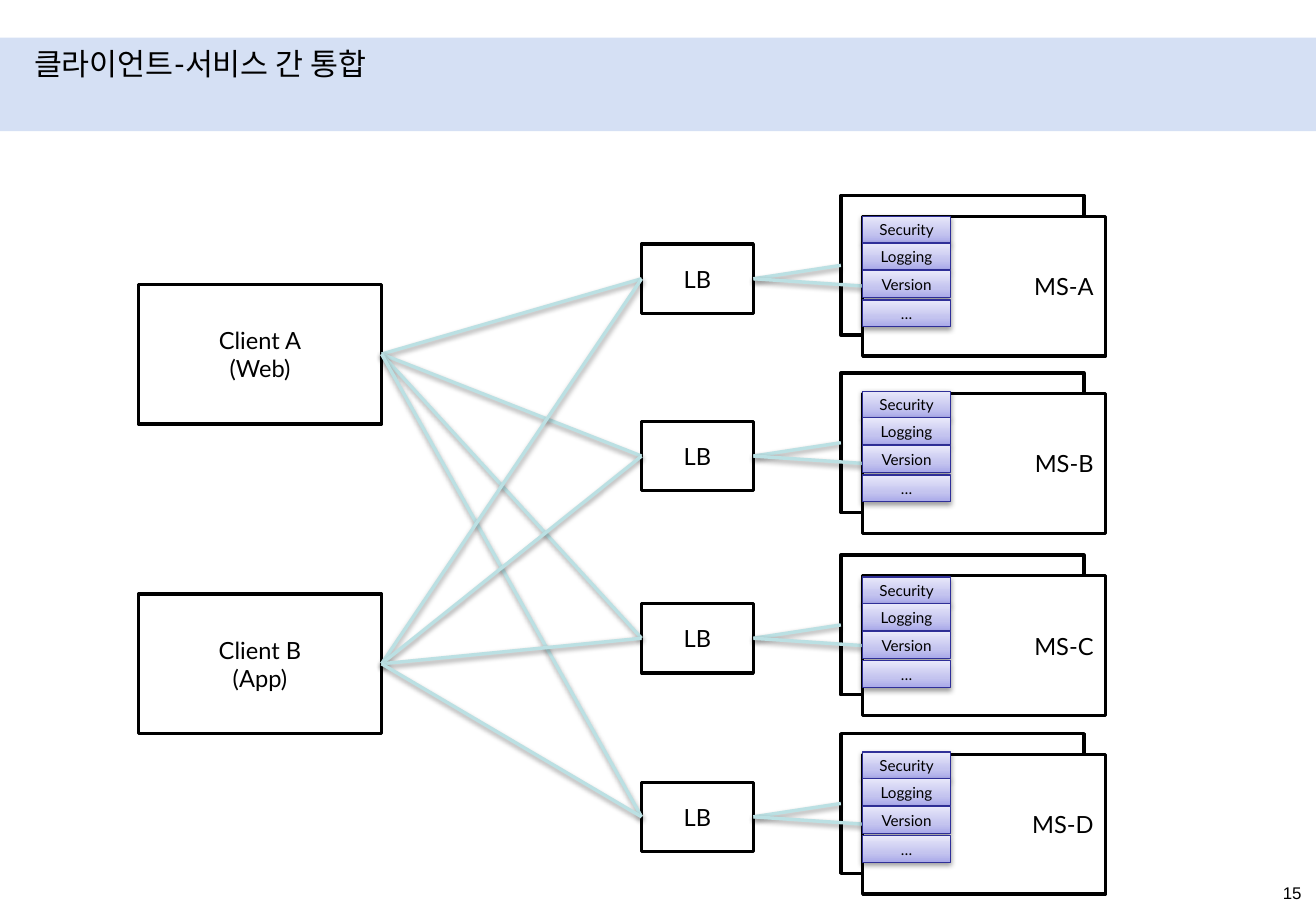
from pptx import Presentation
from pptx.dml.color import RGBColor
from pptx.enum.shapes import MSO_CONNECTOR, MSO_SHAPE
from pptx.enum.text import MSO_ANCHOR, MSO_AUTO_SIZE, PP_ALIGN
from pptx.oxml import parse_xml
from pptx.oxml.ns import nsdecls, qn
from pptx.util import Inches, Pt

SHADOW = (
    f'<a:effectLst {nsdecls("a")}><a:outerShdw blurRad="40000" dist="20000" dir="5400000" rotWithShape="0">'
    '<a:srgbClr val="000000"><a:alpha val="38000"/></a:srgbClr></a:outerShdw></a:effectLst>'
)
TAG_FILL = (
    f'<a:gradFill {nsdecls("a")} rotWithShape="1"><a:gsLst>'
    '<a:gs pos="0"><a:srgbClr val="A9A9E9"/></a:gs>'
    '<a:gs pos="35000"><a:srgbClr val="C4C4EF"/></a:gs>'
    '<a:gs pos="100000"><a:srgbClr val="E8E8FA"/></a:gs>'
    '</a:gsLst><a:lin ang="16200000" scaled="0"/></a:gradFill>'
)


def add_box(left, top, width, height, text="", align=PP_ALIGN.CENTER, size=14, line="000000", weight=2):
    box = slide.shapes.add_shape(
        MSO_SHAPE.RECTANGLE, Inches(left), Inches(top), Inches(width), Inches(height))
    box.shadow.inherit = False
    box.fill.solid()
    box.fill.fore_color.rgb = RGBColor.from_string("FFFFFF")
    box.line.color.rgb = RGBColor.from_string(line)
    box.line.width = Pt(weight)
    box.text_frame.text = text
    box.text_frame.vertical_anchor = MSO_ANCHOR.MIDDLE
    for para in box.text_frame.paragraphs:
        para.alignment = align
        para.font.size = Pt(size)
        para.font.name = "Lato"
        para.font.color.rgb = RGBColor.from_string("000000")
    return box


def add_link(source, target):
    link = slide.shapes.add_connector(MSO_CONNECTOR.STRAIGHT, 0, 0, 0, 0)
    link.begin_connect(source, 3)
    link.end_connect(target, 1)
    link.line.color.rgb = RGBColor.from_string("BBE0E3")
    link.line.width = Pt(2)
    link.element.spPr.append(parse_xml(SHADOW))


deck = Presentation()
deck.slide_width = Inches(10.83)
deck.slide_height = Inches(7.5)
slide = deck.slides.add_slide(deck.slide_layouts[5])

title = slide.shapes.title
title.left, title.top, title.width, title.height = Inches(0.18), Inches(0.32), Inches(10.65), Inches(0.43)
title.text_frame.text = "클라이언트-서비스 간 통합"
title.text_frame.vertical_anchor = MSO_ANCHOR.TOP
title.text_frame.auto_size = MSO_AUTO_SIZE.NONE
title_para = title.text_frame.paragraphs[0]
title_para.alignment = PP_ALIGN.LEFT
title_para.font.size = Pt(18)
title_para.font.name = "Lato"
title_para.font.color.rgb = RGBColor.from_string("000000")

band = add_box(0, 0.31, 10.83, 0.77)
band.line.fill.background()
band.fill.fore_color.rgb = RGBColor.from_string("B5C8ED")
band_color = band.element.spPr.find(qn("a:solidFill"))[0]
band_color.append(parse_xml(f'<a:alpha {nsdecls("a")} val="56000"/>'))
title.element.addprevious(band.element)

page_number = slide.shapes.add_textbox(Inches(8.28), Inches(7.22), Inches(2.53), Inches(0.35))
page_number.text_frame.word_wrap = True
page_number.text_frame.text = "15"
number_para = page_number.text_frame.paragraphs[0]
number_para.alignment = PP_ALIGN.RIGHT
number_para.font.size = Pt(10)
number_para.font.name = "Arial"
number_para.font.color.rgb = RGBColor.from_string("000000")

clients = [
    add_box(1.14, top, 2, 1.15, text)
    for text, top in [("Client A\n(Web)", 2.34), ("Client B\n(App)", 4.89)]
]

services = [("MS-A", 1.61, 1.78), ("MS-B", 3.07, 3.22), ("MS-C", 4.57, 4.75), ("MS-D", 6.04, 6.19)]
balancers = []
for name, top, tags_top in services:
    back = add_box(6.92, top, 2, 1.15)
    front = add_box(7.1, top + 0.17, 2, 1.15, name, PP_ALIGN.RIGHT)
    balancer = add_box(5.28, top + 0.4, 0.92, 0.57, "LB")
    add_link(balancer, back)
    add_link(balancer, front)
    balancers.append(balancer)

for client in clients:
    for balancer in balancers:
        add_link(client, balancer)

tags = [("Security", 0), ("Logging", 0.22), ("Version", 0.45), ("…", 0.69)]
for name, top, tags_top in services:
    for text, offset in tags:
        tag = add_box(7.1, tags_top + offset, 0.72, 0.22, text, size=9, line="2F2F98", weight=0.75)
        tag.text_frame.margin_top = tag.text_frame.margin_bottom = 0
        properties = tag.element.spPr
        properties.replace(properties.find(qn("a:solidFill")), parse_xml(TAG_FILL))
        properties.replace(properties.find(qn("a:effectLst")), parse_xml(SHADOW))

deck.save("out.pptx")
